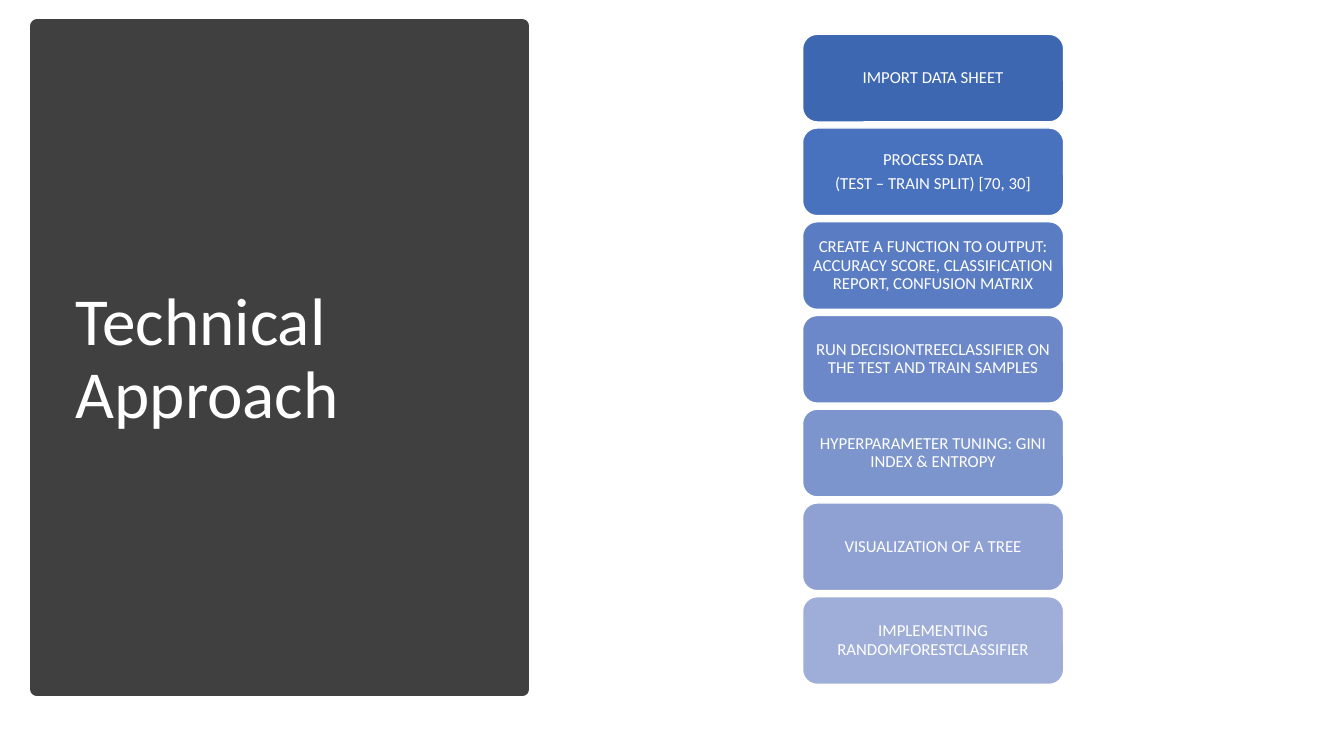
from pptx import Presentation
from pptx.dml.color import RGBColor
from pptx.enum.shapes import MSO_SHAPE as Shape
from pptx.enum.text import MSO_ANCHOR as Anchor, MSO_AUTO_SIZE as Fit, PP_ALIGN as Align
from pptx.util import Inches, Pt

WHITE = RGBColor(0xFF, 0xFF, 0xFF)
DARK = RGBColor(0x40, 0x40, 0x40)
FONT = "Calibri"

TITLE = "Technical Approach"
STEPS = [
    (["IMPORT DATA SHEET"], RGBColor(0x3E, 0x67, 0xB2)),
    (["PROCESS DATA", "(TEST – TRAIN SPLIT) [70, 30]"], RGBColor(0x48, 0x71, 0xBE)),
    (["CREATE A FUNCTION TO OUTPUT: ACCURACY SCORE, CLASSIFICATION REPORT, "
      "CONFUSION MATRIX"], RGBColor(0x5A, 0x7C, 0xC3)),
    (["RUN DECISIONTREECLASSIFIER ON THE TEST AND TRAIN SAMPLES"],
     RGBColor(0x6C, 0x88, 0xC8)),
    (["HYPERPARAMETER TUNING: GINI INDEX & ENTROPY"], RGBColor(0x7D, 0x95, 0xCD)),
    (["VISUALIZATION OF A TREE"], RGBColor(0x8E, 0xA1, 0xD2)),
    (["IMPLEMENTING RANDOMFORESTCLASSIFIER"], RGBColor(0x9F, 0xAE, 0xD8)),
]

WIDE, HIGH = 13.33, 7.5
PANEL = (0.37, 0.26, 4.81, 6.58)
HEAD = (0.65, 0.7, 4.16, 5.75)
LEFT, TOP, STEP_W, STEP_H = 7.96, 0.34, 2.59, 0.87
PITCH = 0.93


def add_box(slide, kind, spot, fill, line, width):
    box = slide.shapes.add_shape(kind, *map(Inches, spot))
    box.shadow.inherit = False
    box.fill.solid()
    box.fill.fore_color.rgb = fill
    box.line.color.rgb = line
    box.line.width = Pt(width)
    return box


def style(para, size, align):
    para.font.name = FONT
    para.font.size = Pt(size)
    para.font.color.rgb = WHITE
    para.alignment = align
    para.line_spacing = 0.9


def add_title(slide):
    title = slide.shapes.title
    title.left, title.top, title.width, title.height = map(Inches, HEAD)
    frame = title.text_frame
    frame.text = TITLE
    frame.word_wrap = True
    frame.auto_size = Fit.NONE
    frame.vertical_anchor = Anchor.MIDDLE
    style(frame.paragraphs[0], 48, Align.LEFT)
    # Bring the title in front of the panel
    title.element.getparent().append(title.element)


def add_step(slide, row, lines, fill):
    spot = (LEFT, TOP + row * PITCH, STEP_W, STEP_H)
    box = add_box(slide, Shape.ROUNDED_RECTANGLE, spot, fill, WHITE, 1)
    frame = box.text_frame
    frame.text = "\n".join(lines)
    frame.word_wrap = True
    frame.vertical_anchor = Anchor.MIDDLE
    frame.margin_left = frame.margin_right = Inches(0.05)
    frame.margin_top = frame.margin_bottom = Inches(0.03)
    for para in frame.paragraphs:
        style(para, 12, Align.CENTER)
        para.space_after = Pt(4.2)


def main():
    deck = Presentation()
    deck.slide_width, deck.slide_height = Inches(WIDE), Inches(HIGH)
    slide = deck.slides.add_slide(deck.slide_layouts[5])
    add_box(slide, Shape.RECTANGLE, PANEL, DARK, DARK, 10)
    add_title(slide)
    for row, (lines, fill) in enumerate(STEPS):
        add_step(slide, row, lines, fill)
    deck.save("out.pptx")


if __name__ == "__main__":
    main()
